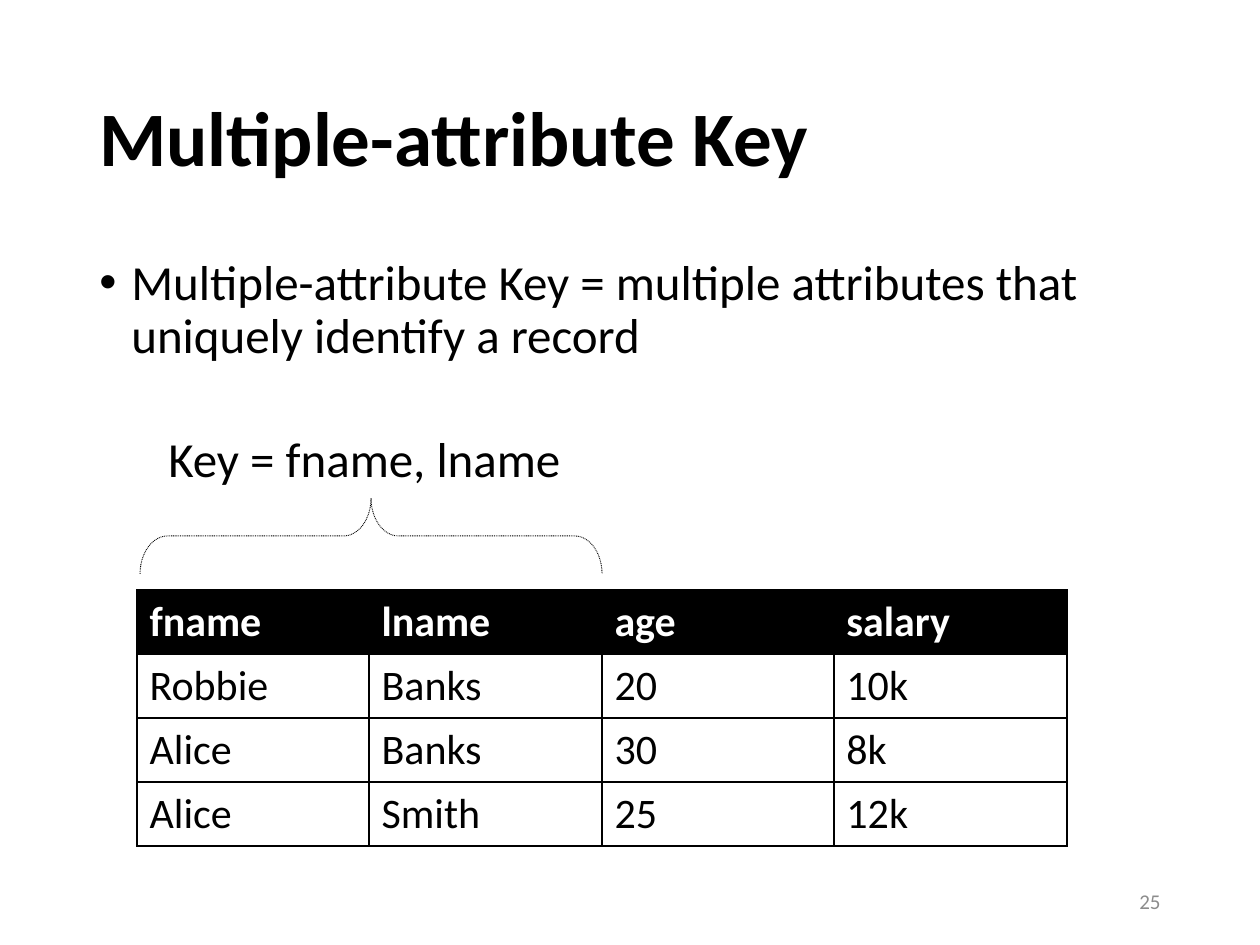
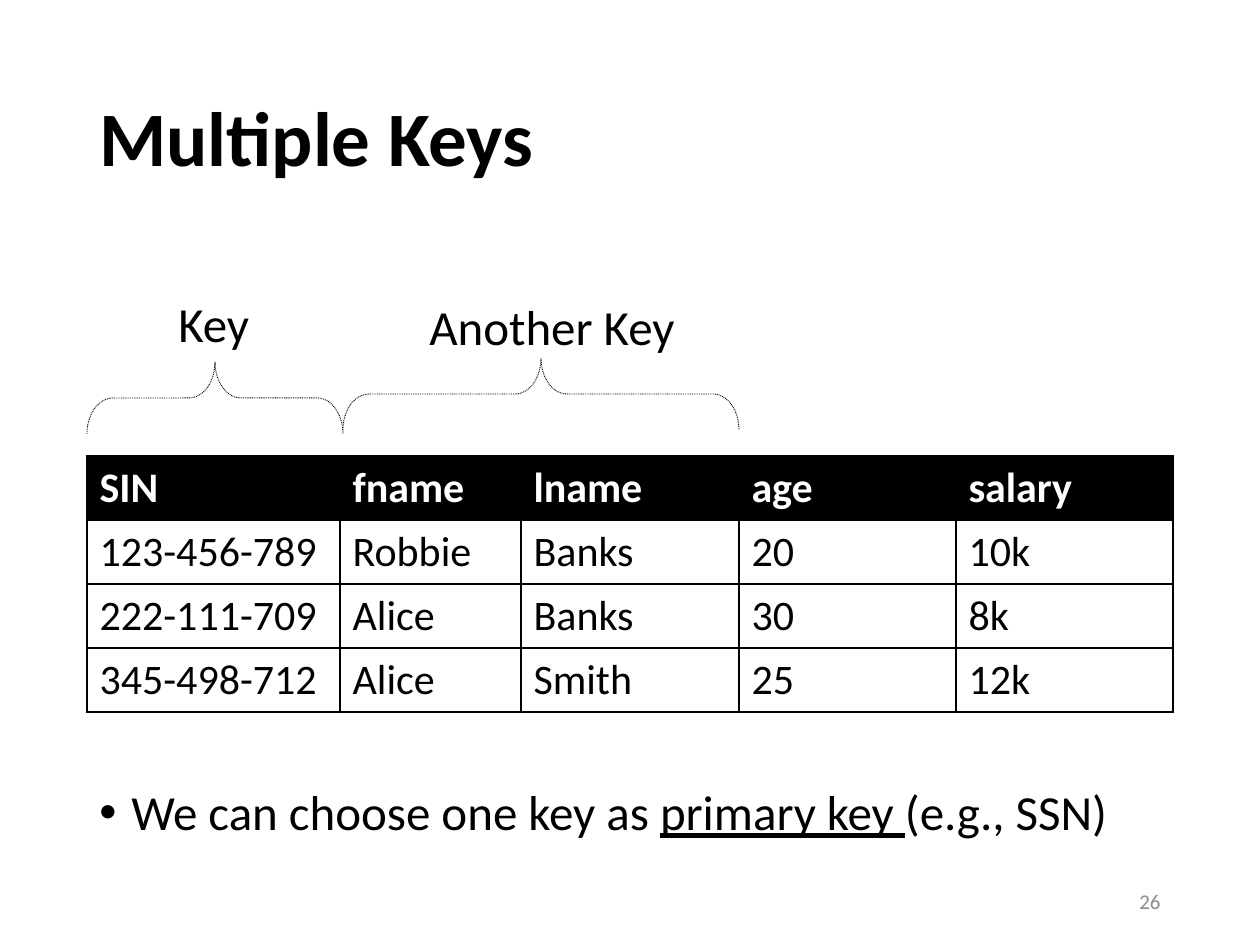
import pptx
import pptx.util
import pptx.dml.color
import pptx.enum.dml
import pptx.enum.shapes
import pptx.enum.text
import pptx.oxml
import pptx.oxml.ns

PX_PER_INCH = 126
FONT = "Calibri"
BLACK, WHITE, GREY = "000000", "FFFFFF", "8C8C8C"
TITLE_BOX = (87, 50, 1086, 183)
NUMBER_BOX = (890, 876, 283, 50)
ROW_HEIGHT = 64
BULLET_INDENT = 32

ALIGN = pptx.enum.text.PP_ALIGN
ANCHOR = pptx.enum.text.MSO_ANCHOR


def px(length):
    return pptx.util.Emu(round(length * 914400 / PX_PER_INCH))


def color(value):
    return pptx.dml.color.RGBColor.from_string(value)


def format_runs(paragraph, size, ink=BLACK, bold=False):
    for run in paragraph.runs:
        run.font.name = FONT
        run.font.size = pptx.util.Pt(size)
        run.font.bold = bold
        run.font.color.rgb = color(ink)


def add_text(slide, box, text, size, ink=BLACK, bold=False, anchor=ANCHOR.TOP):
    frame = slide.shapes.add_textbox(*map(px, box)).text_frame
    frame.word_wrap = True
    frame.vertical_anchor = anchor
    frame.text = text
    format_runs(frame.paragraphs[0], size, ink, bold)
    return frame


def add_frame(prs, title, number):
    slide = prs.slides.add_slide(prs.slide_layouts[6])
    heading = add_text(slide, TITLE_BOX, title, 44, bold=True, anchor=ANCHOR.MIDDLE)
    heading.paragraphs[0].line_spacing = 0.9
    footer = add_text(slide, NUMBER_BOX, str(number), 12, GREY, anchor=ANCHOR.MIDDLE)
    footer.paragraphs[0].alignment = ALIGN.RIGHT
    return slide


def add_bullet(slide, box, parts, underlined=None):
    paragraph = add_text(slide, box, "", 28).paragraphs[0]
    for part in parts:
        run = paragraph.add_run()
        run.text = part
        run.font.underline = part == underlined
    format_runs(paragraph, 28)
    paragraph.line_spacing = 0.9
    paragraph.space_before = pptx.util.Pt(10)
    properties = paragraph._p.get_or_add_pPr()
    properties.set("marL", str(px(BULLET_INDENT)))
    properties.set("indent", str(-px(BULLET_INDENT)))
    namespace = pptx.oxml.ns.nsdecls("a")
    for xml in (f'<a:buFont {namespace} typeface="Arial"/>',
                f'<a:buChar {namespace} char="•"/>'):
        properties.append(pptx.oxml.parse_xml(xml))


def add_borders(cell):
    properties = cell._tc.get_or_add_tcPr()
    namespace = pptx.oxml.ns.nsdecls("a")
    for index, side in enumerate("LRTB"):
        properties.insert(index, pptx.oxml.parse_xml(
            f'<a:ln{side} {namespace} w="12700"><a:solidFill>'
            f'<a:srgbClr val="{BLACK}"/></a:solidFill></a:ln{side}>'))


def add_records(slide, left, top, widths, records):
    table = slide.shapes.add_table(
        len(records), len(widths), px(left), px(top),
        px(sum(widths)), px(ROW_HEIGHT * len(records))).table
    table.horz_banding = False
    for column, width in zip(table.columns, widths):
        column.width = px(width)
    for row_index, record in enumerate(records):
        header = row_index == 0
        table.rows[row_index].height = px(ROW_HEIGHT)
        for column_index, value in enumerate(record):
            cell = table.cell(row_index, column_index)
            cell.text = value
            format_runs(cell.text_frame.paragraphs[0], 24,
                        WHITE if header else BLACK, header)
            cell.fill.solid()
            cell.fill.fore_color.rgb = color(BLACK if header else WHITE)
            add_borders(cell)


def add_key(slide, brace_box, label_box, label):
    left, top, width, height = brace_box
    inset = (width - height) / 2
    brace = slide.shapes.add_shape(
        pptx.enum.shapes.MSO_SHAPE.LEFT_BRACE,
        px(left + inset), px(top - inset), px(height), px(width))
    brace.rotation = 90
    brace.adjustments[0] = 0.36
    brace.adjustments[1] = 0.5
    brace.shadow.inherit = False
    brace.fill.background()
    brace.line.color.rgb = color(BLACK)
    brace.line.width = pptx.util.Pt(0.5)
    brace.line.dash_style = pptx.enum.dml.MSO_LINE.ROUND_DOT
    caption = add_text(slide, label_box, label, 28)
    caption.word_wrap = False
    caption.auto_size = pptx.enum.text.MSO_AUTO_SIZE.SHAPE_TO_FIT_TEXT


def build_multiple_attribute_key(prs, people):
    slide = add_frame(prs, "Multiple-attribute Key", 25)
    add_records(slide, 137, 590, [232, 233, 232, 233], people)
    add_key(slide, (140, 498, 462, 76), (156, 422, 421, 72), "Key = fname, lname")
    add_bullet(slide, (87, 252, 1086, 600),
               ["Multiple-attribute Key = multiple attributes that "
                "uniquely identify a record"])


def build_multiple_keys(prs, people):
    slide = add_frame(prs, "Multiple Keys", 26)
    numbers = ["SIN", "123-456-789", "222-111-709", "345-498-712"]
    records = [[number, *person] for number, person in zip(numbers, people)]
    add_records(slide, 87, 456, [253, 181, 218, 217, 217], records)
    add_key(slide, (87, 362, 256, 72), (166, 287, 97, 72), "Key")
    add_key(slide, (343, 358, 396, 72), (417, 290, 273, 72), "Another Key")
    add_bullet(slide, (87, 782, 1086, 121),
               ["We can choose one key as ", "primary key ", "(e.g., SSN)"],
               underlined="primary key ")


def main():
    prs = pptx.Presentation()
    prs.slide_width, prs.slide_height = px(1260), px(945)
    people = [
        ["fname", "lname", "age", "salary"],
        ["Robbie", "Banks", "20", "10k"],
        ["Alice", "Banks", "30", "8k"],
        ["Alice", "Smith", "25", "12k"],
    ]
    build_multiple_attribute_key(prs, people)
    build_multiple_keys(prs, people)
    prs.save("out.pptx")


if __name__ == "__main__":
    main()
